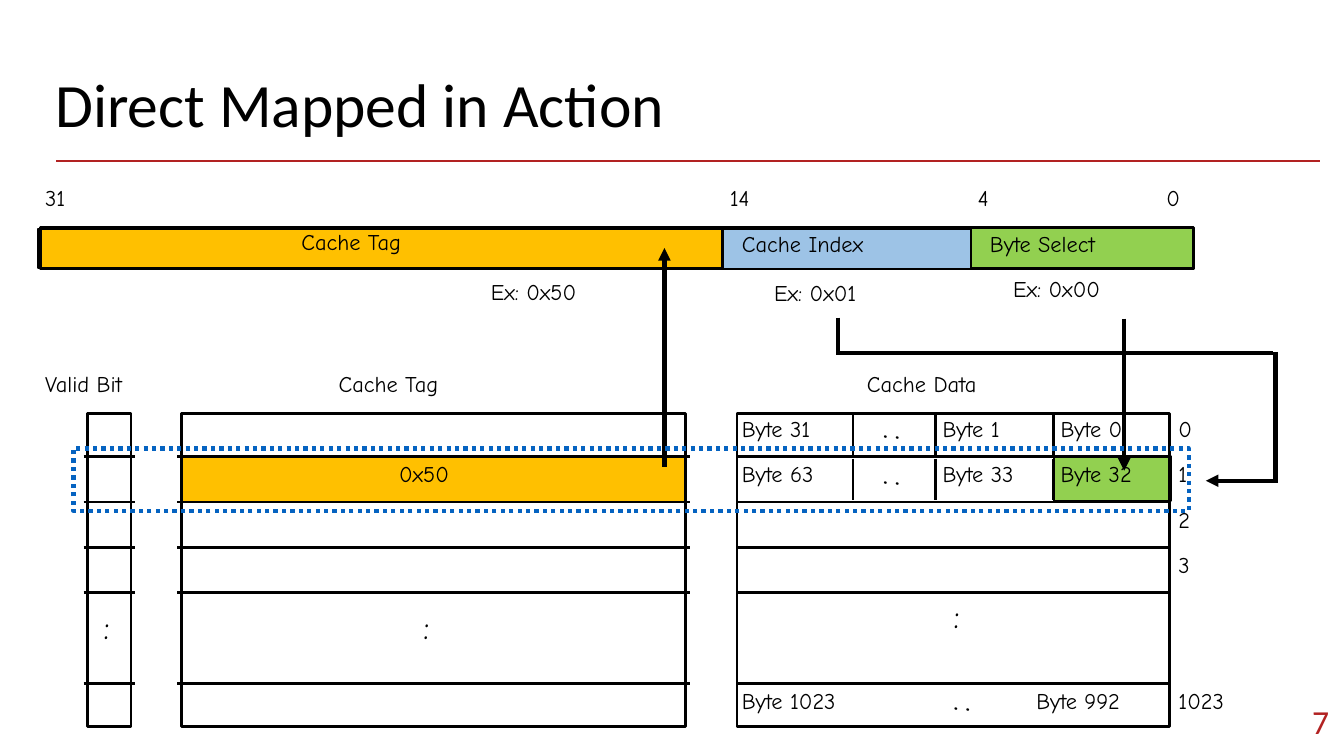
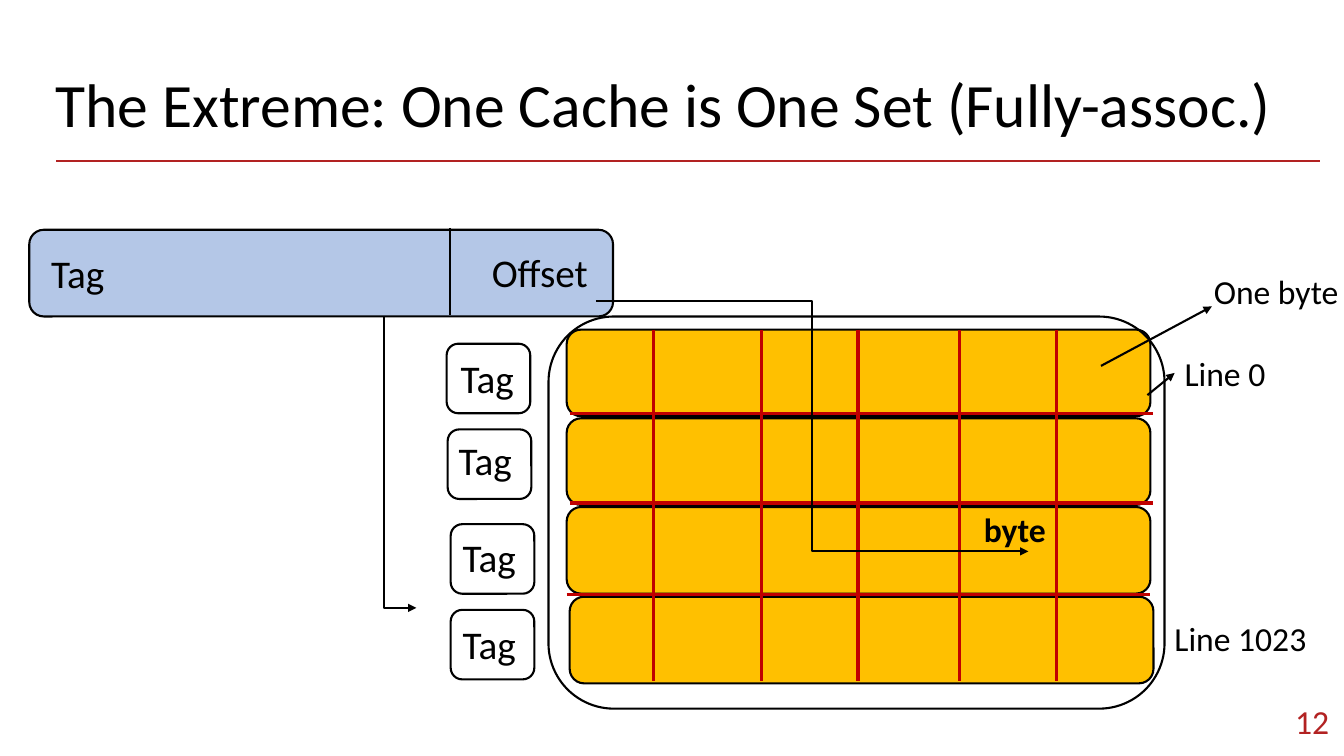
from dataclasses import dataclass

from lxml.etree import SubElement
from pptx import Presentation
from pptx.dml.color import RGBColor
from pptx.enum.dml import MSO_LINE
from pptx.enum.shapes import MSO_CONNECTOR, MSO_SHAPE
from pptx.enum.text import MSO_ANCHOR, MSO_AUTO_SIZE, PP_ALIGN
from pptx.oxml.ns import qn
from pptx.util import Inches, Pt


@dataclass(frozen=True)
class Theme:
    black: str = "000000"
    white: str = "FFFFFF"
    accent: str = "B22222"
    grid: str = "C00000"
    amber: str = "FFC000"
    green: str = "92D050"
    sky: str = "9DC3E6"
    periwinkle: str = "B4C7E7"
    highlight: str = "0563C1"
    body_font: str = "Calibri"
    diagram_font: str = "Comic Neue"
    title_size: float = 44
    tag_size: float = 28
    label_size: float = 24
    diagram_size: float = 16
    thin: float = 1.5
    medium: float = 2
    grid_width: float = 2.25
    thick: float = 3


class Deck:
    """Holds the presentation, its theme and the current slide."""

    def __init__(self, theme):
        self.theme = theme
        self.presentation = Presentation()
        self.presentation.slide_width = Inches(13.33)
        self.presentation.slide_height = Inches(7.5)
        self.slide = None

    def new_slide(self, title, number):
        theme = self.theme
        layout = self.presentation.slide_layouts[6]
        self.slide = self.presentation.slides.add_slide(layout)
        self.line((0.56, 1.6), (13.09, 1.6), theme.thin, theme.accent)
        heading = self.frame(0.45, 0.64, 12.42, 0.84)
        self.add_text(heading, title, theme.title_size).line_spacing = 0.9
        footer = self.frame(12.27, 6.87, 1.01, 0.57)
        footer.vertical_anchor = MSO_ANCHOR.MIDDLE
        paragraph = self.add_text(footer, number, theme.label_size, color=theme.accent)
        paragraph.alignment = PP_ALIGN.RIGHT

    def frame(self, left, top, width, height):
        """Add a wrapping text frame with even margins."""
        shape = self.slide.shapes.add_textbox(
            Inches(left), Inches(top), Inches(width), Inches(height))
        frame = shape.text_frame
        frame.word_wrap = True
        frame.margin_top = frame.margin_bottom = Inches(0.1)
        return frame

    def add_text(self, frame, text, size, font=None, color=None, bold=False):
        paragraph = frame.paragraphs[0]
        run = paragraph.add_run()
        run.text = text
        run.font.size = Pt(size)
        run.font.name = font or self.theme.body_font
        run.font.bold = bold
        run.font.color.rgb = RGBColor.from_string(color or self.theme.black)
        return paragraph

    def label(self, text, left, top, width, height=0.5, size=None, font=None,
              bold=False, rotation=0):
        """Add a one-line label that fits its text."""
        shape = self.slide.shapes.add_textbox(
            Inches(left), Inches(top), Inches(width), Inches(height))
        shape.rotation = rotation
        shape.text_frame.word_wrap = False
        shape.text_frame.auto_size = MSO_AUTO_SIZE.SHAPE_TO_FIT_TEXT
        self.add_text(shape.text_frame, text, size or self.theme.label_size, font, bold=bold)
        return shape

    def note(self, text, left, top, width):
        """Add a small label in the diagram font."""
        self.label(text, left, top, width, size=self.theme.diagram_size,
                   font=self.theme.diagram_font)

    def dots(self, left, top, across=False):
        """Add a colon as an ellipsis, turned on its side when across."""
        width, height, rotation = (0.39, 0.71, 270) if across else (0.41, 0.68, 0)
        self.label(":", left, top, width, height,
                   font=self.theme.diagram_font, rotation=rotation)

    def box(self, left, top, width, height, fill=None, weight=None, color=None,
            rounded=False, dash=None):
        kind = MSO_SHAPE.ROUNDED_RECTANGLE if rounded else MSO_SHAPE.RECTANGLE
        shape = self.slide.shapes.add_shape(
            kind, Inches(left), Inches(top), Inches(width), Inches(height))
        shape.shadow.inherit = False
        if fill:
            shape.fill.solid()
            shape.fill.fore_color.rgb = RGBColor.from_string(fill)
        else:
            shape.fill.background()
        shape.line.width = Pt(weight or self.theme.thin)
        shape.line.color.rgb = RGBColor.from_string(color or self.theme.black)
        if dash:
            shape.line.dash_style = dash
        return shape

    def line(self, start, end, weight=None, color=None, arrow=False,
             kind=MSO_CONNECTOR.STRAIGHT):
        connector = self.slide.shapes.add_connector(
            kind, *(Inches(value) for value in (*start, *end)))
        connector.line.width = Pt(weight or self.theme.thin)
        connector.line.color.rgb = RGBColor.from_string(color or self.theme.black)
        properties = connector.element.spPr
        if arrow:
            SubElement(properties.find(qn("a:ln")), qn("a:tailEnd"), type="triangle")
        SubElement(properties, qn("a:effectLst"))
        return connector

    def corner_arrow(self, start, end):
        """Add an arrow that goes down and then right with one bend."""
        connector = self.line(start, end, arrow=True, kind=MSO_CONNECTOR.ELBOW)
        across, down = end[0] - start[0], end[1] - start[1]
        connector.left = Inches((start[0] + end[0] - down) / 2)
        connector.top = Inches((start[1] + end[1] - across) / 2)
        connector.width, connector.height = Inches(down), Inches(across)
        properties = connector.element.spPr
        properties.find(qn("a:prstGeom")).set("prst", "bentConnector2")
        transform = properties.find(qn("a:xfrm"))
        transform.set("rot", str(270 * 60000))
        transform.set("flipH", "1")

    def column(self, left, width, overhang=0.0):
        """Add a cache column with its row rules."""
        top, pitch, weight = 4.53, 0.45, self.theme.medium
        self.box(left, 4.1, width, 3.11, weight=weight)
        for row in (0, 1, 2, 3, 5):
            y = top + row * pitch
            self.line((left - overhang, y), (left + width + overhang, y), weight)


def direct_mapped(deck):
    theme = deck.theme
    deck.new_slide("Direct Mapped in Action", "7")

    # Tag and valid-bit columns
    deck.box(1.81, 4.53, 4.99, 0.45, theme.amber, 1)
    deck.column(1.8, 5, 0.04)
    deck.dots(4.1, 5.96)
    deck.note("0x50", 3.86, 4.52, 0.9)
    deck.column(0.87, 0.43, 0.04)
    deck.dots(0.93, 5.96)
    for heading, left, width in (
            ("Valid Bit", 0.35, 1.32), ("Cache Tag", 3.26, 1.55), ("Cache Data", 8.5, 1.72)):
        deck.note(heading, left, 3.62, width)

    # Cache data with its byte cells
    deck.box(10.45, 4.52, 1.16, 0.45, theme.green)
    deck.column(7.31, 4.29)
    byte_rows = (("Byte 31", "Byte 1", "Byte 0"), ("Byte 63", "Byte 33", "Byte 32"))
    for row, cells in enumerate(byte_rows):
        offset = row * 0.45
        for text, left in zip(cells, (7.26, 9.25, 10.42)):
            deck.note(text, left, 4.07 + offset, 1.28)
        for x in (8.46, 9.28, 10.45):
            deck.line((x, 4.1 + offset), (x, 4.51 + offset), theme.medium)
        deck.dots(8.69, 3.92 + offset, across=True)
    for row in range(4):
        deck.note(str(row), 11.59, 4.07 + row * 0.45, 0.44)
    deck.dots(9.36, 5.85)
    for text, left, width in (
            ("Byte 1023", 7.26, 1.59), ("Byte 992", 10.18, 1.43), ("1023", 11.59, 0.66)):
        deck.note(text, left, 6.77, width)
    deck.dots(9.39, 6.62, across=True)

    # Address fields
    deck.box(9.63, 2.25, 2.2, 0.41, theme.green)
    deck.box(7.17, 2.27, 2.46, 0.4, theme.sky)
    deck.box(0.38, 2.27, 6.79, 0.39, theme.amber)
    deck.box(0.4, 2.26, 11.44, 0.41, weight=theme.medium)
    for x in (7.17, 9.63):
        deck.line((x, 2.26), (x, 2.67), theme.medium)
    for text, left, top, width in (
            ("Cache Tag", 2.89, 2.21, 1.55),
            ("Cache Index", 7.26, 2.23, 1.82),
            ("Byte Select", 9.72, 2.23, 1.75),
            ("Ex: 0x50", 4.77, 2.71, 1.34),
            ("Ex: 0x01", 7.58, 2.72, 1.34),
            ("Ex: 0x00", 9.95, 2.68, 1.34)):
        deck.note(text, left, top, width)
    for bit, left, width in (
            ("31", 0.35, 0.6), ("14", 7.14, 0.43), ("4", 9.6, 0.44), ("0", 11.47, 0.44)):
        deck.note(bit, left, 1.78, width)

    # Lookup arrows and the selected line
    for start, end, arrow in (
            ((6.59, 4.63), (6.59, 2.46), True),
            ((11.15, 3.16), (11.15, 4.67), True),
            ((8.31, 3.15), (8.31, 3.52), False),
            ((8.33, 3.5), (12.63, 3.5), False),
            ((12.65, 3.49), (12.65, 4.79), False),
            ((12.63, 4.77), (11.96, 4.77), True)):
        deck.line(start, end, theme.thick, arrow=arrow)
    deck.box(0.73, 4.45, 11.06, 0.62, weight=theme.thick, color=theme.highlight,
             dash=MSO_LINE.ROUND_DOT)


def fully_associative(deck):
    theme = deck.theme
    deck.new_slide("The Extreme: One Cache is One Set (Fully-assoc.)", "12")

    # Cache lines divided into bytes
    for left, top in ((5.65, 5.92), (5.62, 5.03), (5.62, 4.15), (5.62, 3.27)):
        deck.box(left, top, 5.79, 0.86, theme.amber, rounded=True)
    for x in (6.48, 7.55, 8.51, 9.52, 10.48):
        deck.line((x, 3.27), (x, 6.76), theme.grid_width, theme.grid)
    for left, y in ((5.65, 4.1), (5.65, 4.99), (5.62, 5.9)):
        deck.line((left, y), (left + 5.79, y), theme.grid_width, theme.grid)

    # Callouts and the set outline
    deck.line((10.92, 3.63), (12.02, 3.04), arrow=True)
    deck.label("One byte", 11.94, 2.64, 1.45)
    line_label = deck.label("Line 0", 11.65, 3.45, 1.01)
    pointer = deck.line((11.38, 3.92), (11.65, 3.7), arrow=True)
    pointer.end_connect(line_label, 1)
    deck.label("Line 1023", 11.55, 6.08, 1.52)
    deck.box(5.44, 3.14, 6.11, 3.89, rounded=True)

    # Address with tag and offset
    deck.box(0.29, 2.28, 5.79, 0.86, theme.periwinkle, rounded=True)
    deck.label("Tag", 0.41, 2.42, 0.73, 0.57, theme.tag_size)
    deck.line((4.46, 2.26), (4.46, 3.13))
    deck.label("Offset", 4.78, 2.41, 1.17, 0.57, theme.tag_size)
    deck.corner_arrow((3.81, 3.14), (4.13, 6.03))
    deck.line((5.91, 2.99), (10.2, 5.47), arrow=True, kind=MSO_CONNECTOR.ELBOW)
    deck.label("byte", 9.66, 5, 0.9, bold=True)

    # One stored tag per line
    for left, top, text_left, text_top in (
            (4.43, 3.41, 4.47, 3.47), (4.44, 4.26, 4.45, 4.28),
            (4.47, 5.2, 4.49, 5.24), (4.47, 6.05, 4.49, 6.1)):
        deck.box(left, top, 0.83, 0.69, theme.white, rounded=True)
        deck.label("Tag", text_left, text_top, 0.73, 0.57, theme.tag_size)


def main():
    deck = Deck(Theme())
    direct_mapped(deck)
    fully_associative(deck)
    deck.presentation.save("out.pptx")


if __name__ == "__main__":
    main()
